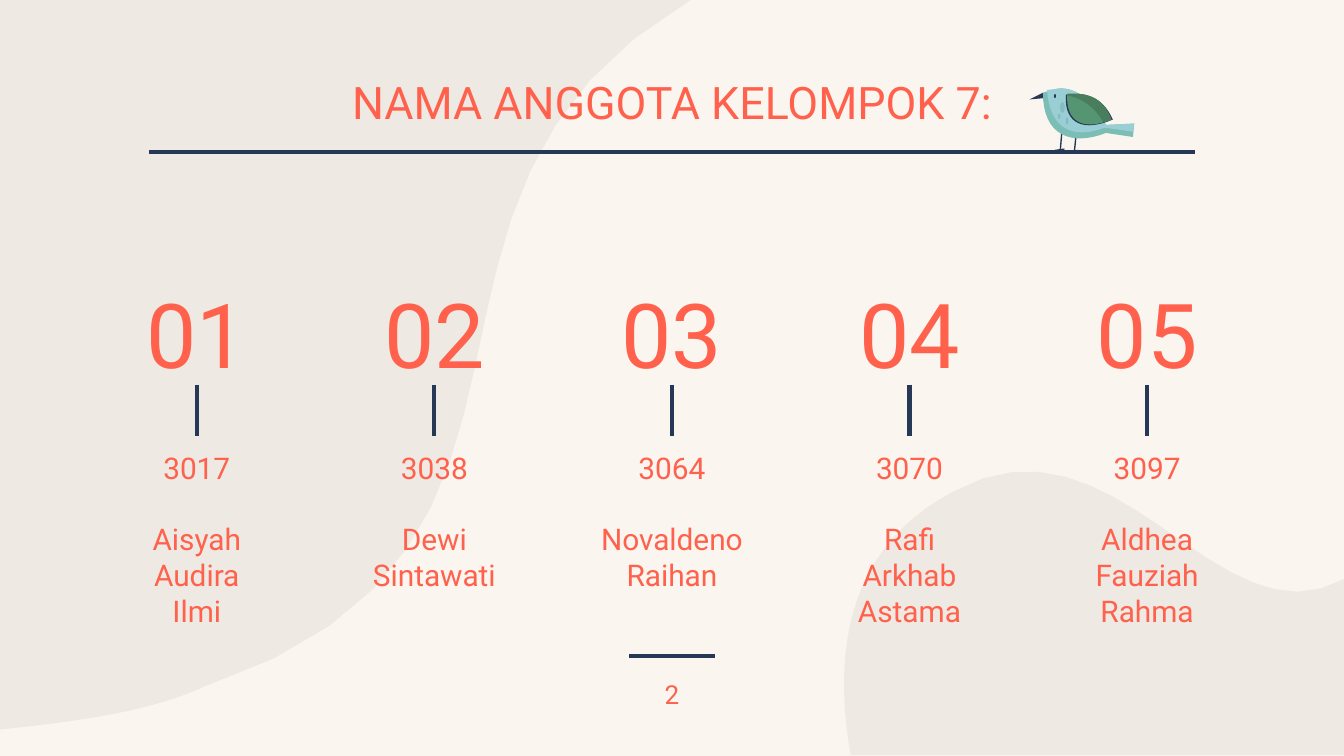
import lxml.etree
import pptx
import pptx.dml.color
import pptx.enum.shapes
import pptx.enum.text
import pptx.oxml.ns
import pptx.util

Cm = pptx.util.Cm
Pt = pptx.util.Pt

# Content
TITLE = "NAMA ANGGOTA KELOMPOK 7:"
PAGE_NUMBER = "2"
MEMBERS = [
    ("3017", ["Aisyah", "Audira", "Ilmi"]),
    ("3038", ["Dewi", "Sintawati"]),
    ("3064", ["Novaldeno", "Raihan"]),
    ("3070", ["Rafi", "Arkhab", "Astama"]),
    ("3097", ["Aldhea", "Fauziah", "Rahma"]),
]

FONT = "Roboto"
COLORS = {
    "background": "FAF6EF",
    "blob": "EEEAE3",
    "text": "FF614D",
    "navy": "273857",
    "body": "99CED5",
    "belly": "7CBDB5",
    "wing": "569571",
    "wing shade": "487E5C",
    "feather": "85BDBF",
}

# Outlines in hundredths of an inch: a start point, then lines (x, y)
# or cubic curves (three points in a row)
UNIT = 2.54 / 100
BLOBS = [
    [(514, 0), (263, 147, 458, 409, 152, 511), (111, 530, 56, 537, 0, 543), (0, 0)],
    [(1000, 562), (633, 562), (630, 545, 628, 527, 628, 509),
     (628, 449, 650, 397, 709, 366), (831, 298, 905, 483, 1000, 431)],
]
WING_TOP = (820, 71, 807, 69, 794, 70)
WING = [(794, 70), (793, 92, 807, 97, 827, 89), WING_TOP]
BIRD = [
    ("navy", [(776, 69), (766, 74), (777, 73)]),
    ("belly", [(787, 66), (776, 69), (776, 101, 797, 109, 823, 99),
               (843, 102), (844, 92), (823, 93), (810, 69, 796, 65, 787, 66)]),
    ("body", [(787, 66), (779, 67), (781, 96, 798, 104, 822, 95),
              (843, 98), (844, 92), (823, 93), (810, 69, 796, 65, 787, 66)]),
    ("navy", [(x - 1, y + 1) for x, y in WING[:1]] + [(792, 93, 807, 98, 828, 89), WING_TOP]),
    ("wing", WING),
    ("wing shade", [(794, 71), (805, 73, 815, 80, 821, 91), (827, 89), WING_TOP]),
]
# Eye and breast feathers: colour, centre, width, height
BIRD_SPOTS = [
    ("navy", 785, 71.5, 1.5, 3),
    ("feather", 790.5, 80, 3.5, 8),
    ("feather", 788, 86.5, 2, 4),
    ("feather", 794, 90, 2, 5),
]
# Legs: x, top, ankle
BIRD_LEGS = [(790, 99, 111), (800.5, 102, 112)]

# Layout in centimetres
WIDTH, HEIGHT = 25.4, 14.29
CENTER = WIDTH / 2
COLUMN_PITCH = 4.49


def color(name):
    return pptx.dml.color.RGBColor.from_string(COLORS[name])


def paint(shape, fill):
    shape.shadow.inherit = False
    shape.fill.solid()
    shape.fill.fore_color.rgb = color(fill)
    shape.line.fill.background()
    return shape


def flatten(outline, steps=16):
    """Turn lines and cubic curves into a list of points."""
    points = [outline[0]]
    for segment in outline[1:]:
        if len(segment) == 2:
            points.append(segment)
            continue
        controls = points[-1] + segment
        for step in range(1, steps + 1):
            t = step / steps
            weights = ((1 - t) ** 3, 3 * t * (1 - t) ** 2, 3 * t * t * (1 - t), t ** 3)
            points.append(tuple(
                sum(weight * value for weight, value in zip(weights, controls[axis::2]))
                for axis in (0, 1)))
    return points


def add_outline(slide, fill, outline):
    points = [(Cm(x * UNIT), Cm(y * UNIT)) for x, y in flatten(outline)]
    builder = slide.shapes.build_freeform(*points[0])
    builder.add_line_segments(points[1:], close=True)
    return paint(builder.convert_to_shape(), fill)


def add_spot(slide, fill, x, y, width, height):
    box = [Cm(value * UNIT) for value in (x - width / 2, y - height / 2, width, height)]
    return paint(slide.shapes.add_shape(pptx.enum.shapes.MSO_SHAPE.OVAL, *box), fill)


def add_line(slide, x1, y1, x2, y2, weight=2.25):
    line = slide.shapes.add_connector(
        pptx.enum.shapes.MSO_CONNECTOR.STRAIGHT, Cm(x1), Cm(y1), Cm(x2), Cm(y2))
    line.line.color.rgb = color("navy")
    line.line.width = Pt(weight)
    lxml.etree.SubElement(line._element.spPr, pptx.oxml.ns.qn("a:effectLst"))
    return line


def add_bird(slide):
    parts = []
    for x, top, ankle in BIRD_LEGS:
        for x1, y1, x2, y2 in [(x, top, x - 1, ankle), (x - 5, ankle + 1, x + 2, ankle)]:
            parts.append(add_line(slide, x1 * UNIT, y1 * UNIT, x2 * UNIT, y2 * UNIT, 0.75))
    parts += [add_outline(slide, fill, outline) for fill, outline in BIRD]
    parts += [add_spot(slide, *spot) for spot in BIRD_SPOTS]
    slide.shapes.add_group_shape(parts)


def add_text(slide, center, top, width, height, lines, size, anchor="TOP"):
    box = slide.shapes.add_textbox(Cm(center - width / 2), Cm(top), Cm(width), Cm(height))
    frame = box.text_frame
    frame.word_wrap = True
    frame.vertical_anchor = pptx.enum.text.MSO_ANCHOR[anchor]
    frame.margin_left = frame.margin_right = Cm(0.25)
    frame.margin_top = frame.margin_bottom = Cm(0.25)
    frame.text = "\n".join(lines)
    for paragraph in frame.paragraphs:
        paragraph.alignment = pptx.enum.text.PP_ALIGN.CENTER
        paragraph.font.name = FONT
        paragraph.font.size = Pt(size)
        paragraph.font.color.rgb = color("text")
    return frame


def main():
    presentation = pptx.Presentation()
    presentation.slide_width, presentation.slide_height = Cm(WIDTH), Cm(HEIGHT)
    slide = presentation.slides.add_slide(presentation.slide_layouts[6])

    # Background
    slide.background.fill.solid()
    slide.background.fill.fore_color.rgb = color("background")
    for outline in BLOBS:
        add_outline(slide, "blob", outline)

    # Title with its rule and the bird standing on it
    add_line(slide, CENTER - 9.88, 2.88, CENTER + 9.88, 2.88)
    add_text(slide, CENTER, 1.12, 22.66, 1.55, [TITLE], 24, "BOTTOM")
    add_bird(slide)

    # One column for each member
    for index, (number, names) in enumerate(MEMBERS):
        center = CENTER + (index - (len(MEMBERS) - 1) / 2) * COLUMN_PITCH
        add_text(slide, center, 5.05, COLUMN_PITCH, 2.51, [f"{index + 1:02}"], 48, "BOTTOM")
        add_line(slide, center, 7.27, center, 8.25)
        frame = add_text(slide, center, 8.25, 3.94, 4.32, [number] + names, 16)
        frame.paragraphs[0].space_after = Pt(19)

    # Page number
    add_line(slide, CENTER - 0.81, 12.4, CENTER + 0.81, 12.4)
    add_text(slide, CENTER, 12.57, 1.52, 1.09, [PAGE_NUMBER], 14)

    presentation.save("out.pptx")


if __name__ == "__main__":
    main()
